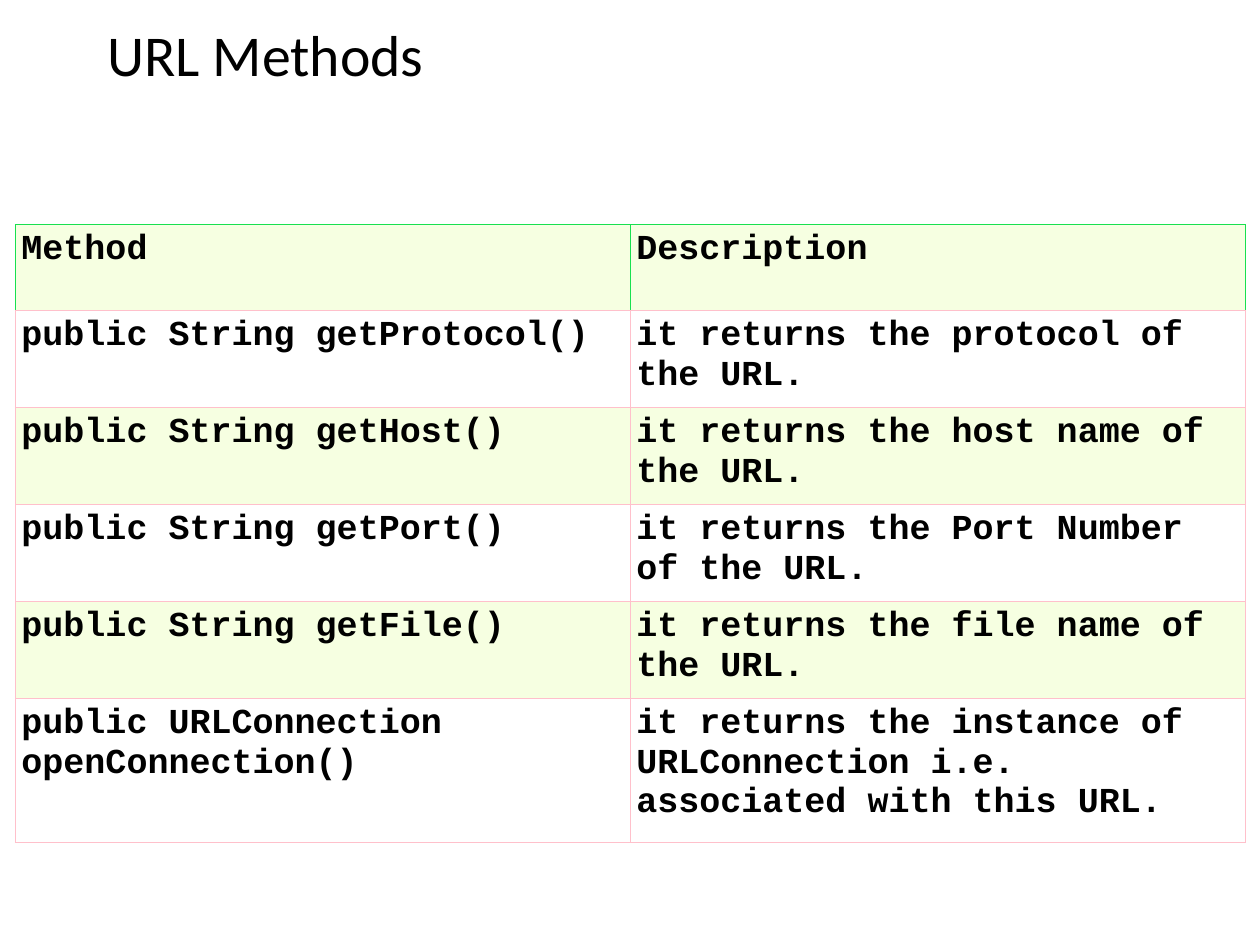
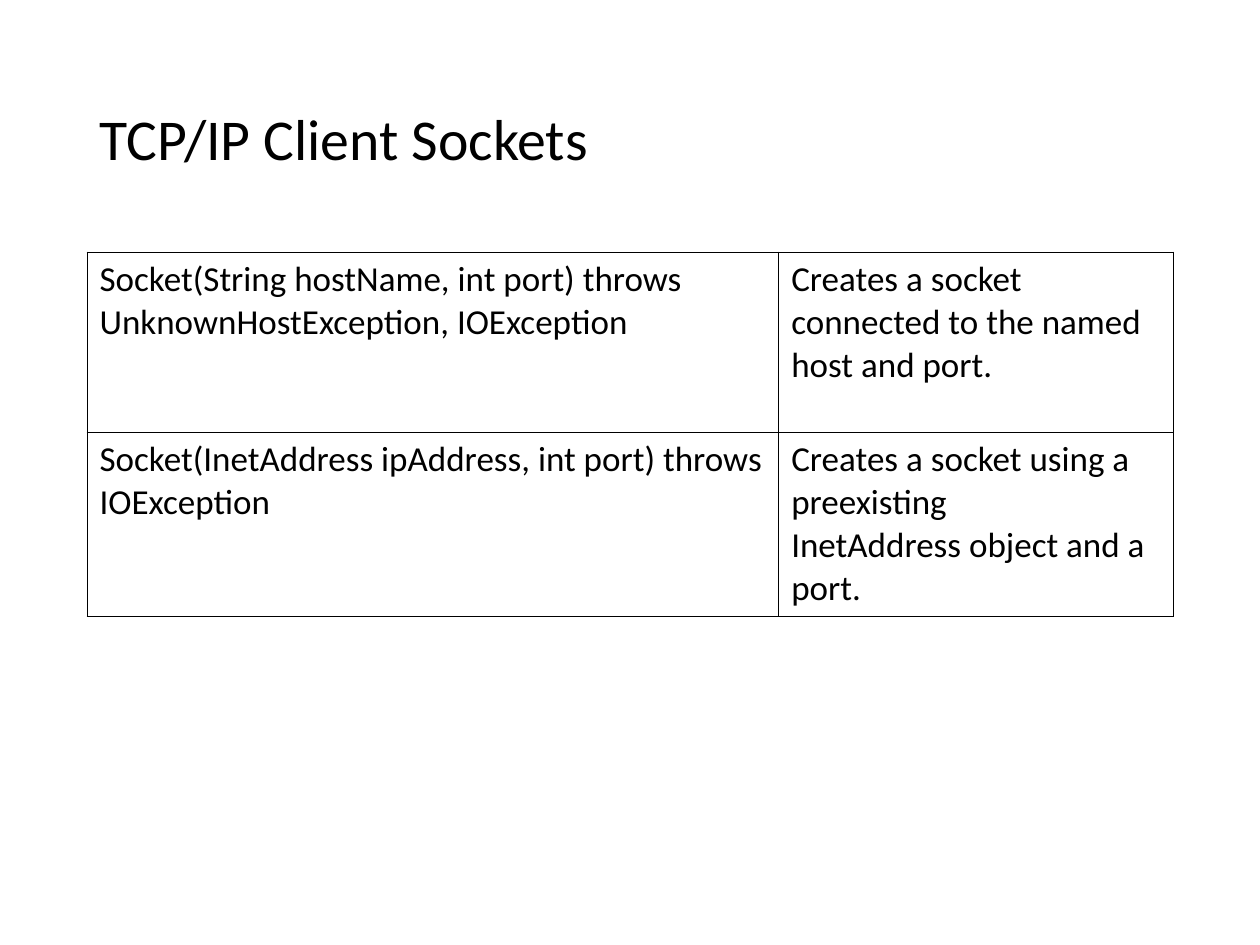
from lxml import etree
from pptx import Presentation, util as u
from pptx.dml.color import RGBColor
from pptx.enum import text
from pptx.oxml import ns

# Shared look
BLACK = RGBColor(0x00, 0x00, 0x00)
WHITE = RGBColor(0xFF, 0xFF, 0xFF)
PALE_LIME = RGBColor(0xF6, 0xFF, 0xE1)
GREEN = RGBColor(0x18, 0xE0, 0x4F)
PINK = RGBColor(0xFF, 0xC0, 0xCB)
TITLE_FONT = {"name": "Calibri", "size": u.Pt(33), "bold": False}
METHOD_FONT = {"name": "Courier New", "size": u.Pt(20), "bold": True}
SOCKET_FONT = {"name": "Calibri", "size": u.Pt(20), "bold": False}
TITLE_ONLY = 5

# Content
METHODS = [
    ("Method", "Description"),
    ("public String getProtocol()", "it returns the protocol of the URL."),
    ("public String getHost()", "it returns the host name of the URL."),
    ("public String getPort()", "it returns the Port Number of the URL."),
    ("public String getFile()", "it returns the file name of the URL."),
    ("public URLConnection openConnection()",
     "it returns the instance of URLConnection i.e. associated with this URL."),
]
SOCKETS = [
    ("Socket(String hostName, int port) throws UnknownHostException, IOException",
     "Creates a socket connected to the named host and port."),
    ("Socket(InetAddress ipAddress, int port) throws IOException",
     "Creates a socket using a preexisting\nInetAddress object and a port."),
]

PAGES = [
    {"title": "URL Methods", "title_box": (0.75, 0, 8.5, 0.92),
     "rows": METHODS, "corner": (0.12, 1.78), "widths": [4.88, 4.88],
     "heights": [0.68] + [0.77] * 4 + [1.15], "font": METHOD_FONT,
     "side_inset": 0.05, "bands": (PALE_LIME, WHITE),
     "border": PINK, "header_border": GREEN, "line": 0.34},
    {"title": "TCP/IP Client Sockets", "title_box": (0.69, 0.4, 8.63, 1.45),
     "rows": SOCKETS, "corner": (0.69, 2), "widths": [5.49, 3.13],
     "heights": [1.43] * 2, "font": SOCKET_FONT,
     "side_inset": 0.1, "bands": None,
     "border": BLACK, "header_border": BLACK, "line": 0.45},
]


def style_text(frame, font_format):
    for paragraph in frame.paragraphs:
        paragraph.alignment = text.PP_ALIGN.LEFT
        for run in paragraph.runs:
            for key, value in font_format.items():
                setattr(run.font, key, value)
            run.font.color.rgb = BLACK


def set_borders(cell, colours, points):
    """Draw the left, right, top and bottom edges, in that order."""
    properties = cell._tc.get_or_add_tcPr()
    for place, (side, colour) in enumerate(zip("LRTB", colours)):
        edge = etree.Element(ns.qn(f"a:ln{side}"), w=str(u.Pt(points)))
        fill = etree.SubElement(edge, ns.qn("a:solidFill"))
        etree.SubElement(fill, ns.qn("a:srgbClr"), val=str(colour))
        properties.insert(place, edge)


deck = Presentation()
deck.slide_width, deck.slide_height = u.Inches(10), u.Inches(7.5)

for page in PAGES:
    slide = deck.slides.add_slide(deck.slide_layouts[TITLE_ONLY])

    # Title
    heading = slide.shapes.title
    for side, length in zip(("left", "top", "width", "height"), page["title_box"]):
        setattr(heading, side, u.Inches(length))
    heading.text_frame.text = page["title"]
    heading.text_frame.vertical_anchor = text.MSO_ANCHOR.MIDDLE
    heading.text_frame.paragraphs[0].line_spacing = 0.9
    style_text(heading.text_frame, TITLE_FONT)

    # Table grid
    box = (*page["corner"], sum(page["widths"]), sum(page["heights"]))
    grid = slide.shapes.add_table(
        len(page["rows"]), len(page["widths"]), *map(u.Inches, box)).table
    grid.first_row = grid.horz_banding = False
    for column, width in zip(grid.columns, page["widths"]):
        column.width = u.Inches(width)
    for row, height in zip(grid.rows, page["heights"]):
        row.height = u.Inches(height)

    # Cells
    cell_format = {
        "margin_left": u.Inches(page["side_inset"]),
        "margin_right": u.Inches(page["side_inset"]),
        "margin_top": u.Inches(0.05),
        "margin_bottom": u.Inches(0.05),
        "vertical_anchor": text.MSO_ANCHOR.TOP,
    }
    for r, entries in enumerate(page["rows"]):
        for c, entry in enumerate(entries):
            cell = grid.cell(r, c)
            cell.text = entry
            for key, value in cell_format.items():
                setattr(cell, key, value)
            style_text(cell.text_frame, page["font"])
            if page["bands"]:
                cell.fill.solid()
                cell.fill.fore_color.rgb = page["bands"][r % 2]
            else:
                cell.fill.background()
            edge = page["header_border"] if r == 0 else page["border"]
            set_borders(cell, (edge, edge, edge, page["border"]), page["line"])

deck.save("out.pptx")
